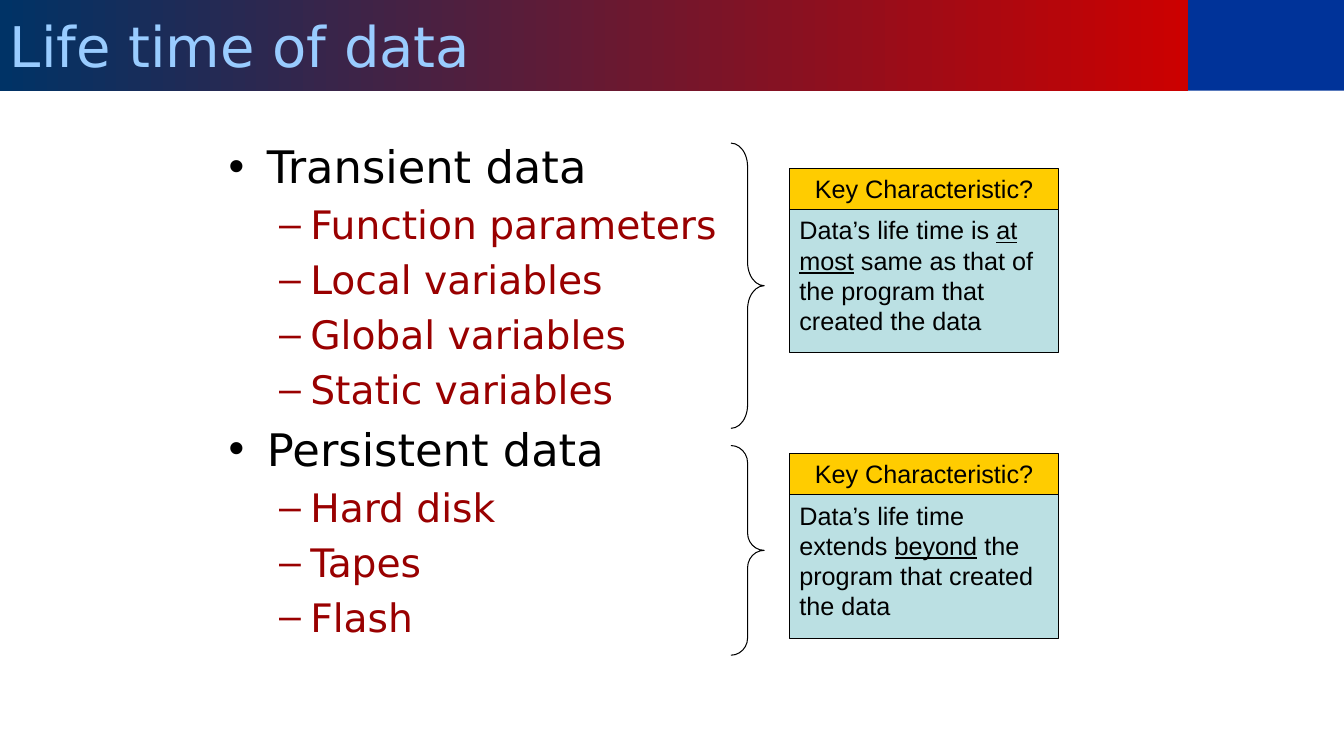
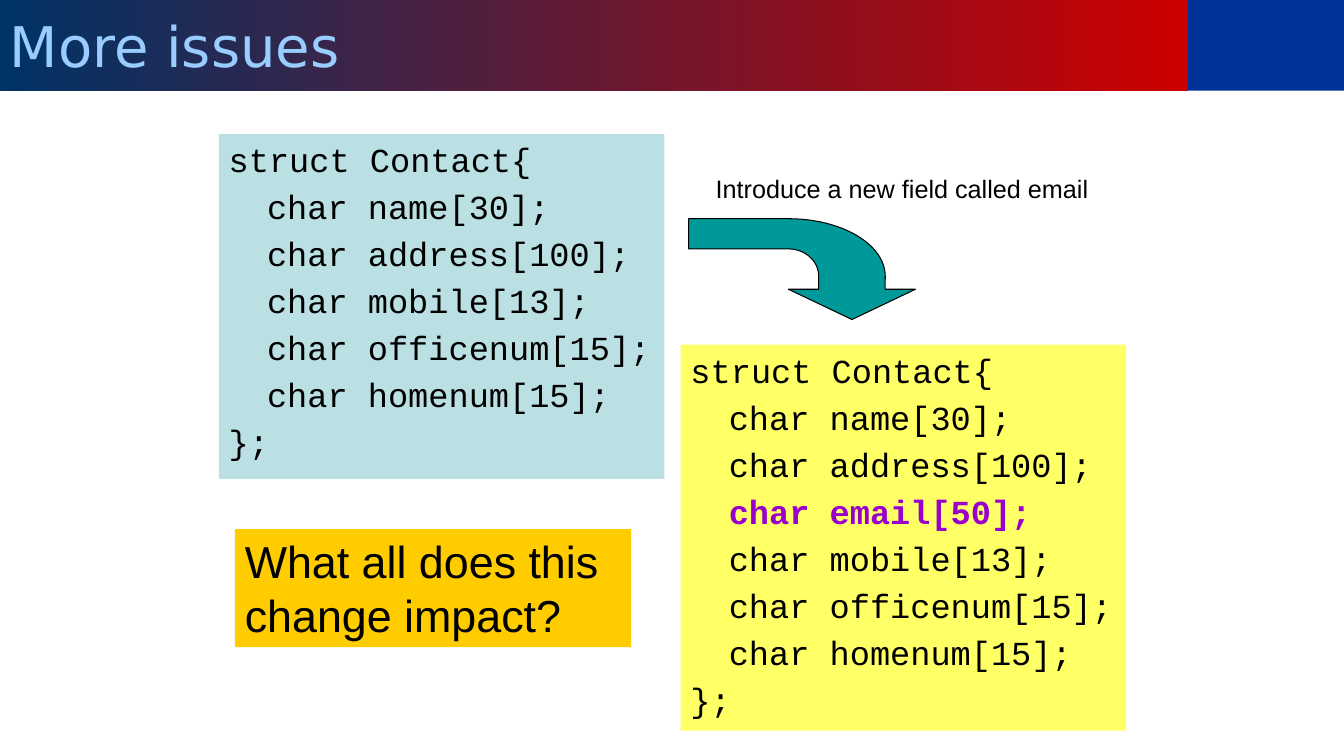
"""Build two slides on the life time of data and on changing a struct."""
from dataclasses import dataclass
from math import cos, pi, sin

from lxml.etree import SubElement as Sub
from pptx import Presentation
from pptx.dml.color import RGBColor as RGB
from pptx.enum.shapes import MSO_SHAPE as Kind
from pptx.enum.text import MSO_ANCHOR as Anchor, PP_ALIGN as Align
from pptx.oxml.ns import qn
from pptx.shapes.autoshape import Shape
from pptx.slide import Slide
from pptx.util import Inches, Pt


@dataclass(frozen=True)
class Theme:
    black: str = "000000"
    band: tuple[str, str] = ("003366", "CC0000")
    side: str = "003399"
    title: str = "99CCFF"
    detail: str = "990000"
    gold: str = "FFCC00"
    pale: str = "BBE0E3"
    yellow: str = "FFFF66"
    purple: str = "9900CC"
    teal: str = "009999"
    sans: str = "DejaVu Sans"
    plain: str = "Arial"
    mono: str = "Courier New"
    head: float = 40
    large: float = 32
    medium: float = 28
    code: float = 24
    small: float = 18
    rule: float = 0.75


THEME = Theme()


@dataclass(frozen=True)
class Box:
    left: float
    top: float
    width: float
    height: float

    def place(self) -> tuple[Inches, ...]:
        return tuple(map(Inches, (self.left, self.top, self.width, self.height)))


@dataclass(frozen=True)
class Line:
    text: str
    size: float
    font: str = THEME.plain
    color: str = THEME.black
    bold: bool = False
    align: Align = Align.LEFT
    margin: float = 0
    indent: float = 0
    bullet: str = ""
    spaced: bool = False
    under: str = ""


@dataclass(frozen=True)
class Group:
    name: str
    items: tuple[str, ...]
    brace: Box
    bend: float
    top: float
    trait: str
    stress: str


GROUPS = (
    Group("Transient data",
          ("Function parameters", "Local variables", "Global variables", "Static variables"),
          Box(7.25, 1.42, 0.33, 2.83), 0.708, 1.67,
          "Data’s life time is at most same as that of the program that created the data",
          "at most"),
    Group("Persistent data", ("Hard disk", "Tapes", "Flash"),
          Box(7.25, 4.42, 0.33, 2.08), 0.521, 4.5,
          "Data’s life time extends beyond the program that created the data", "beyond"),
)
FIELDS = ("name[30]", "address[100]", "mobile[13]", "officenum[15]", "homenum[15]")
EMAIL = "email[50]"


def paint(shape: Shape, fill: str = "", line: str = "") -> Shape:
    shape.shadow.inherit = False
    if fill:
        shape.fill.solid()
        shape.fill.fore_color.rgb = RGB.from_string(fill)
    else:
        shape.fill.background()
    if line:
        shape.line.color.rgb = RGB.from_string(line)
        shape.line.width = Pt(THEME.rule)
    else:
        shape.line.fill.background()
    return shape


def block(slide: Slide, box: Box, fill: str, line: str = "") -> Shape:
    return paint(slide.shapes.add_shape(Kind.RECTANGLE, *box.place()), fill, line)


def write(shape: Shape, lines: list[Line], anchor: Anchor = Anchor.TOP,
          wrap: bool = True) -> None:
    frame = shape.text_frame
    frame.word_wrap = wrap
    frame.vertical_anchor = anchor
    for count, line in enumerate(lines):
        para = frame.add_paragraph() if count else frame.paragraphs[0]
        para.alignment = line.align
        props = para._p.get_or_add_pPr()
        props.set("marL", str(Inches(line.margin)))
        props.set("indent", str(Inches(line.indent)))
        if line.spaced:
            Sub(Sub(props, qn("a:spcBef")), qn("a:spcPct")).set("val", "20000")
        if line.bullet:
            Sub(props, qn("a:buFont")).set("typeface", THEME.plain)
            Sub(props, qn("a:buChar")).set("char", line.bullet)
        font = para.font
        font.name, font.size, font.bold = line.font, Pt(line.size), line.bold
        font.color.rgb = RGB.from_string(line.color)
        parts = line.text.partition(line.under) if line.under else (line.text,)
        for part in parts:
            run = para.add_run()
            run.text = part
            if part == line.under:
                run.font.underline = True


def header(slide: Slide, text: str) -> None:
    block(slide, Box(11.78, 0, 1.56, 0.9), THEME.side)
    band = block(slide, Box(0, 0, 11.78, 0.9), THEME.band[0])
    band.fill.gradient()
    band.fill.gradient_angle = 0
    for stop, color in zip(band.fill.gradient_stops, THEME.band):
        stop.color.rgb = RGB.from_string(color)
    write(band, [Line(text, THEME.head, THEME.sans, THEME.title)], Anchor.MIDDLE)


def trait(slide: Slide, group: Group) -> None:
    brace = slide.shapes.add_shape(Kind.RIGHT_BRACE, *group.brace.place())
    brace.adjustments[0] = group.bend
    paint(brace, line=THEME.black)
    label = block(slide, Box(7.83, group.top, 2.67, 0.41), THEME.gold, THEME.black)
    write(label, [Line("Key Characteristic?", THEME.small, align=Align.CENTER)])
    body = block(slide, Box(7.83, group.top + 0.41, 2.67, 1.42), THEME.pale, THEME.black)
    write(body, [Line(group.trait, THEME.small, under=group.stress)])


def life(slide: Slide) -> None:
    header(slide, "Life time of data")
    lines = []
    for group in GROUPS:
        lines.append(Line(group.name, THEME.large, THEME.sans, margin=0.38,
                          indent=-0.38, bullet="•", spaced=True))
        lines += [Line(item, THEME.medium, THEME.sans, THEME.detail, margin=0.81,
                       indent=-0.31, bullet="–", spaced=True) for item in group.items]
    write(slide.shapes.add_textbox(*Box(2.17, 1.33, 5.17, 5.37).place()), lines)
    for group in GROUPS:
        trait(slide, group)


def struct(slide: Slide, box: Box, fill: str, fields: tuple[str, ...]) -> None:
    def code(text: str, margin: float = 0, fresh: bool = False) -> Line:
        return Line(text, THEME.code, THEME.mono, THEME.purple if fresh else THEME.black,
                    fresh, margin=margin, spaced=True)

    inner = [code(f"char {field};", 0.38, field == EMAIL) for field in fields]
    write(block(slide, box, fill), [code("struct Contact{"), *inner, code("};")])


def arrow(slide: Slide) -> None:
    def bend(wide: float, high: float) -> list[tuple[float, float]]:
        turns = [step * pi / 48 for step in range(25)]
        return [(7.82 + wide * cos(turn), 2.74 - high * sin(turn)) for turn in turns]

    points = [(8.45, 3.17), (9.08, 2.87), (8.78, 2.87), *bend(0.96, 0.57),
              (6.83, 2.17), (6.83, 2.47), *reversed(bend(0.3, 0.27)),
              (8.12, 2.87), (7.82, 2.87)]
    first, *rest = [(Inches(x), Inches(y)) for x, y in points]
    form = slide.shapes.build_freeform(*first)
    form.add_line_segments(rest, close=True)
    paint(form.convert_to_shape(), THEME.teal, THEME.black)


def issues(slide: Slide) -> None:
    header(slide, "More issues")
    struct(slide, Box(2.17, 1.33, 4.42, 3.42), THEME.pale, FIELDS)
    struct(slide, Box(6.75, 3.42, 4.42, 3.83), THEME.yellow,
           (*FIELDS[:2], EMAIL, *FIELDS[2:]))
    arrow(slide)
    write(block(slide, Box(2.33, 5.25, 3.93, 1.17), THEME.gold),
          [Line("What all does this change impact?", THEME.large)])
    write(slide.shapes.add_textbox(*Box(7, 1.67, 3.9, 0.4).place()),
          [Line("Introduce a new field called email", THEME.small)], wrap=False)


def main() -> None:
    deck = Presentation()
    deck.slide_width, deck.slide_height = Inches(13.33), Inches(7.5)
    for draw in (life, issues):
        draw(deck.slides.add_slide(deck.slide_layouts[6]))
    deck.save("out.pptx")


if __name__ == "__main__":
    main()
